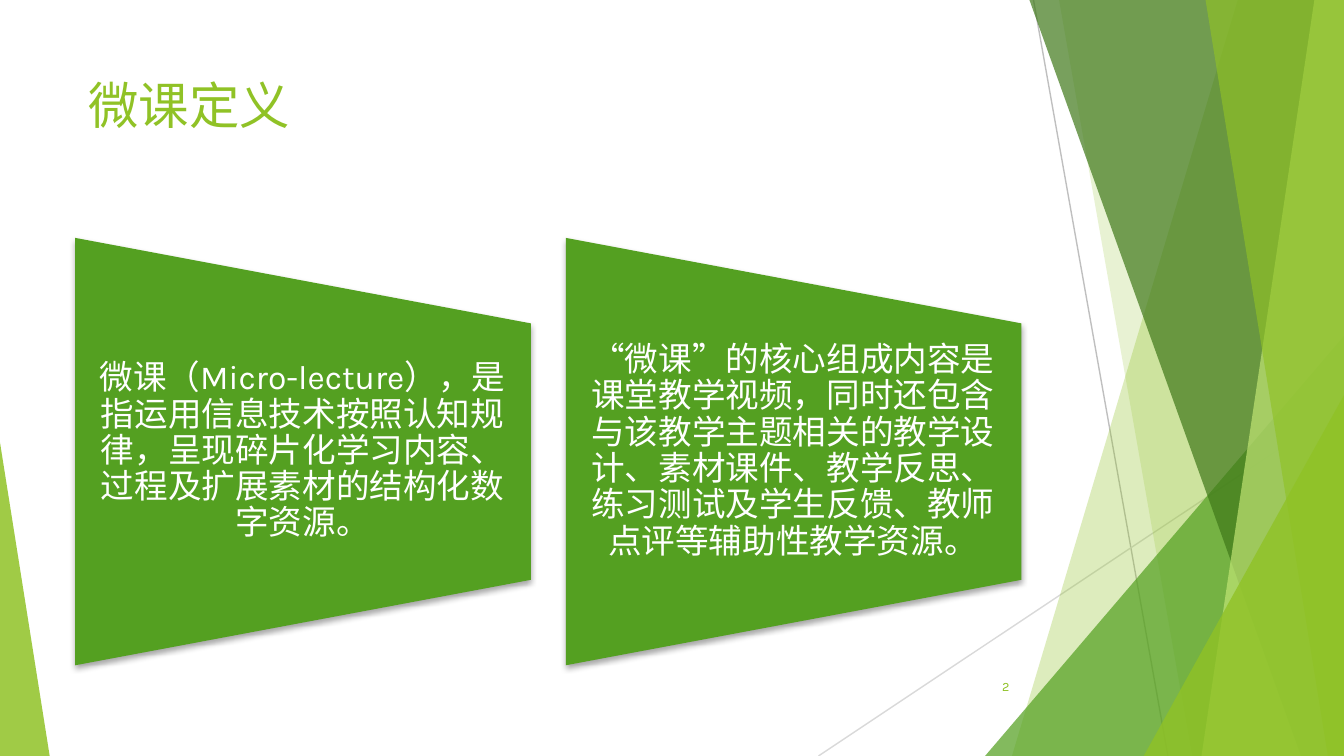
from lxml import etree
from pptx import Presentation
from pptx.dml.color import RGBColor
from pptx.enum.shapes import MSO_CONNECTOR, MSO_SHAPE
from pptx.enum.text import MSO_ANCHOR, PP_ALIGN
from pptx.oxml.ns import qn
from pptx.util import Inches, Pt

STRAIGHT = MSO_CONNECTOR.STRAIGHT
TRIANGLE = MSO_SHAPE.RIGHT_TRIANGLE
PEAK = MSO_SHAPE.ISOSCELES_TRIANGLE
TRAPEZOID = MSO_SHAPE.FLOWCHART_MANUAL_OPERATION
TOP, MIDDLE = MSO_ANCHOR.TOP, MSO_ANCHOR.MIDDLE
LEFT, CENTER, RIGHT = PP_ALIGN.LEFT, PP_ALIGN.CENTER, PP_ALIGN.RIGHT

COLUMNS, ROWS = 100, 56.25
LIME, GREEN, FOREST, PALE, WHITE = "90C226", "54A021", "3F7819", "C0E474", "FFFFFF"


def grid(cells):
    return Inches(cells / 10)


def color(value):
    return RGBColor.from_string(value)


def write(box, text, size=18, ink=LIME, font="Karla", align=LEFT, anchor=TOP,
          margins=(1, 0.5, 1, 0.5), spacing=None):
    frame = box.text_frame
    frame.word_wrap = True
    frame.vertical_anchor = anchor
    frame.margin_left, frame.margin_top, frame.margin_right, frame.margin_bottom = map(grid, margins)
    para = frame.paragraphs[0]
    para.alignment = align
    para.line_spacing = spacing
    span = para.add_run()
    span.text = text
    span.font.name = font
    span.font.size = Pt(size)
    span.font.color.rgb = color(ink)


class SlideBuilder:
    def __init__(self, deck):
        self.slide = deck.slides.add_slide(deck.slide_layouts[6])
        self.shapes = self.slide.shapes
        self.slide.background.fill.solid()
        self.slide.background.fill.fore_color.rgb = color(WHITE)

    def paint(self, shape, fill, opacity=100):
        shape.fill.solid()
        shape.fill.fore_color.rgb = color(fill)
        shape.line.fill.background()
        shape.shadow.inherit = False
        if opacity < 100:
            tint = shape.fill._xPr.find(qn("a:solidFill"))[0]
            etree.SubElement(tint, qn("a:alpha"), val=str(opacity * 1000))

    def line(self, start, end, ink):
        line = self.shapes.add_connector(STRAIGHT, *map(grid, start + end))
        line.line.color.rgb = color(ink)
        line.line.width = Pt(0.75)
        etree.SubElement(line._element.spPr, qn("a:effectLst"))

    def facet(self, top, bottom, fill, opacity):
        pen = self.shapes.build_freeform(grid(top), 0, scale=1.0)
        corners = [(COLUMNS, 0), (COLUMNS, ROWS), (bottom, ROWS)]
        pen.add_line_segments([(grid(x), grid(y)) for x, y in corners], close=True)
        self.paint(pen.convert_to_shape(), fill, opacity)

    def triangle(self, left, top, width, peak, fill, opacity):
        shape = self.shapes.add_shape(PEAK, *map(grid, (left, top, width, ROWS - top)))
        shape.adjustments[0] = peak
        self.paint(shape, fill, opacity)

    def text(self, left, top, width, height, text, **style):
        box = self.shapes.add_textbox(*map(grid, (left, top, width, height)))
        write(box, text, **style)

    def panel(self, left, top, width, height, text):
        shift = (width - height) / 2
        shape = self.shapes.add_shape(
            TRAPEZOID, *map(grid, (left + shift, top - shift, height, width)))
        shape.rotation = 270
        self.paint(shape, GREEN)
        self.cast_shadow(shape)
        self.text(left, top + height / 5, width, height * 0.6, text, ink=WHITE,
                  align=CENTER, anchor=MIDDLE, margins=(1.2, 0, 1.3, 0), spacing=0.9)

    def cast_shadow(self, shape):
        effects = shape._element.spPr.find(qn("a:effectLst"))
        shadow = etree.SubElement(effects, qn("a:outerShdw"), blurRad=str(Pt(3)),
                                  dist=str(Pt(2)), dir="5400000", rotWithShape="0")
        tint = etree.SubElement(shadow, qn("a:srgbClr"), val="000000")
        etree.SubElement(tint, qn("a:alpha"), val="35000")


def main():
    deck = Presentation()
    deck.slide_width, deck.slide_height = grid(COLUMNS), grid(ROWS)
    page = SlideBuilder(deck)

    page.line((76.9, 0), (86.9, ROWS), "BFBFBF")
    page.line((COLUMNS, 30.2), (60.9, ROWS), "D9D9D9")
    page.facet(92.1, 75.3, LIME, 30)
    page.facet(78.8, 88.7, LIME, 20)
    page.triangle(73.3, 25, 26.7, 1, GREEN, 72)
    page.facet(76.6, 96.8, FOREST, 70)
    page.facet(97.8, 89.4, PALE, 70)
    page.facet(89.7, 98.8, LIME, 65)
    page.triangle(85.1, 29.4, 14.9, 1, LIME, 80)
    page.triangle(0, 32.9, 3.7, 0, LIME, 85)

    page.text(5.6, 5, 70.5, 10.8, "微课定义", size=27)
    definitions = [
        "微课（Micro-lecture），是指运用信息技术按照认知规律，呈现碎片化学习内容、过程及扩展素材的结构化数字资源。",
        "“微课”的核心组成内容是课堂教学视频，同时还包含与该教学主题相关的教学设计、素材课件、"
        "教学反思、练习测试及学生反馈、教师点评等辅助性教学资源。",
    ]
    for index, definition in enumerate(definitions):
        page.panel(5.6 + 36.5 * index, 17.7, 33.9, 31.8, definition)
    page.text(70.5, 49.6, 5.6, 3, "2", size=6.8, align=RIGHT, anchor=MIDDLE)

    deck.save("out.pptx")


if __name__ == "__main__":
    main()
